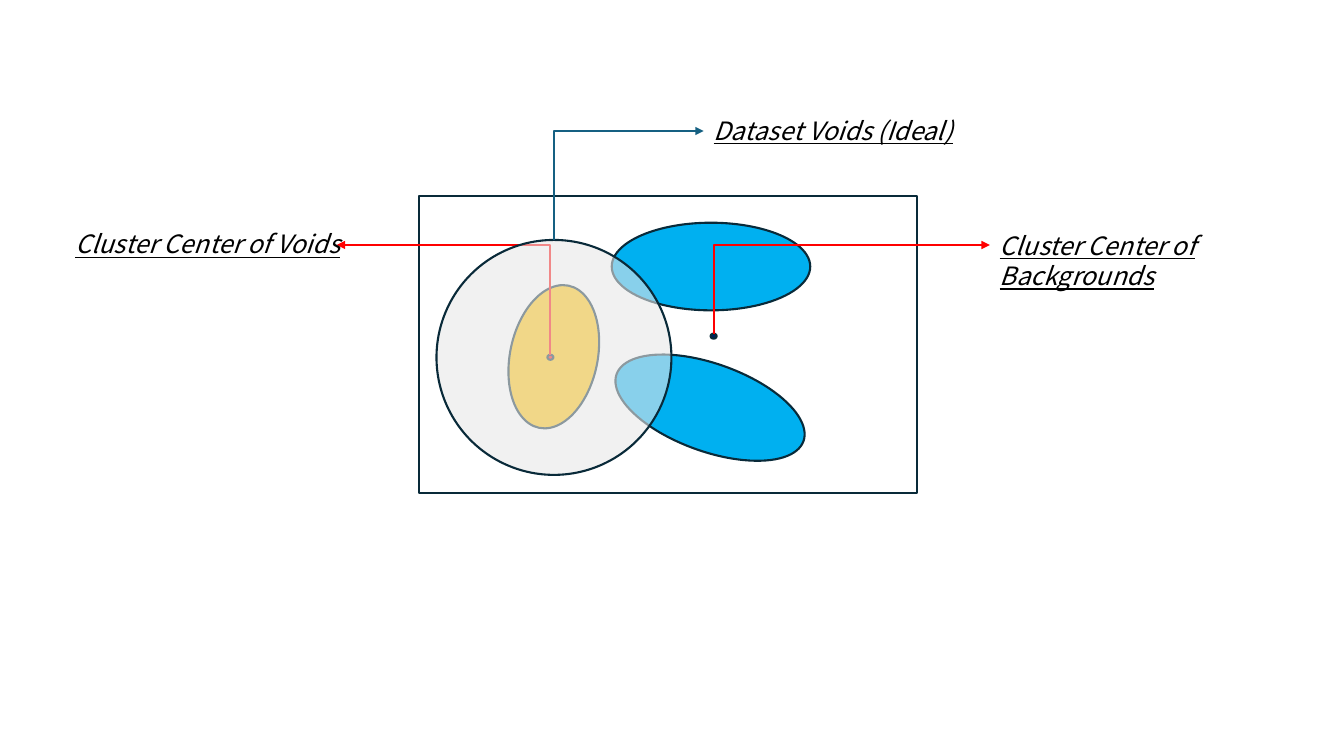
from dataclasses import dataclass

from lxml import etree
from pptx import Presentation
from pptx.dml.color import RGBColor
from pptx.enum.shapes import MSO_CONNECTOR, MSO_SHAPE
from pptx.oxml.ns import qn
from pptx.slide import Slide
from pptx.util import Pt

PROCESS = MSO_SHAPE.FLOWCHART_PROCESS
ROUND = MSO_SHAPE.FLOWCHART_CONNECTOR
ELBOW = MSO_CONNECTOR.ELBOW

FONT = "Noto Sans CJK SC"
OUTLINE, RED, TEAL, BLUE = "092A39", "FF0000", "156082", "00B0F0"
LINE_WIDTH = 1.5
BLANK_LAYOUT = 6


@dataclass
class Region:
    left: float
    top: float
    width: float
    height: float
    fill: str | None = None
    rotation: float = 0
    opacity: int = 100
    preset: MSO_SHAPE = ROUND


@dataclass
class Pointer:
    """An arrow that rises from its start, then turns sideways to its end."""
    start_x: float
    start_y: float
    end_x: float
    end_y: float
    color: str


@dataclass
class Label:
    text: str
    left: float
    top: float
    width: float


def rgb(color: str) -> RGBColor:
    return RGBColor.from_string(color)


def draw_region(page: Slide, region: Region) -> None:
    shape = page.shapes.add_shape(region.preset, Pt(region.left), Pt(region.top),
                                  Pt(region.width), Pt(region.height))
    shape.shadow.inherit = False
    shape.rotation = region.rotation
    shape.line.color.rgb = rgb(OUTLINE)
    shape.line.width = Pt(LINE_WIDTH)
    if region.fill is None:
        shape.fill.background()
        return
    shape.fill.solid()
    shape.fill.fore_color.rgb = rgb(region.fill)
    if region.opacity < 100:
        color = shape.fill._xPr.find(f"{qn('a:solidFill')}/{qn('a:srgbClr')}")
        etree.SubElement(color, qn("a:alpha"), val=str(region.opacity * 1000))


def draw_pointer(page: Slide, pointer: Pointer) -> None:
    # The one-bend preset runs across, then down; a 270 degree turn makes it rise first
    center_x = (pointer.start_x + pointer.end_x) / 2
    center_y = (pointer.start_y + pointer.end_y) / 2
    half_rise = (pointer.start_y - pointer.end_y) / 2
    half_run = (pointer.end_x - pointer.start_x) / 2
    arrow = page.shapes.add_connector(
        ELBOW, Pt(center_x - half_rise), Pt(center_y - half_run),
        Pt(center_x + half_rise), Pt(center_y + half_run))
    arrow.line.color.rgb = rgb(pointer.color)
    arrow.line.width = Pt(LINE_WIDTH)
    properties = arrow._element.spPr
    properties.find(qn("a:xfrm")).set("rot", str(270 * 60000))
    properties.find(qn("a:prstGeom")).set("prst", "bentConnector2")
    etree.SubElement(properties.find(qn("a:ln")), qn("a:tailEnd"), type="triangle")
    etree.SubElement(properties, qn("a:effectLst"))


def draw_label(page: Slide, label: Label) -> None:
    box = page.shapes.add_textbox(Pt(label.left), Pt(label.top), Pt(label.width), Pt(29))
    box.text_frame.word_wrap = True
    para = box.text_frame.paragraphs[0]
    para.text = label.text
    para.font.name = FONT
    para.font.size = Pt(18)
    para.font.italic = True
    para.font.underline = True
    para.font.color.rgb = rgb("000000")


# Parts from back to front
PARTS = [
    # Frame, clusters and their centers
    Region(299.5, 139.7, 355.7, 212.4, preset=PROCESS),
    Region(364.3, 203, 62.6, 103.7, "FFC000", rotation=11.7),
    Region(437, 159.1, 141.8, 62.6, BLUE),
    Region(436.3, 259.9, 141.8, 62.6, BLUE, rotation=19.7),
    Region(391, 253.4, 4.3, 3.6, RED),
    Region(507.6, 238.3, 4.3, 3.6, "002060"),
    # Labels of the cluster centers
    Pointer(393.1, 253.4, 240.5, 175, RED),
    Label("Cluster Center of Voids", 46.8, 159.8, 213.8),
    Pointer(509.8, 238.3, 707, 175, RED),
    Label("Cluster Center of Backgrounds", 707, 160.6, 253),
    # Ideal voids, a see-through circle over the clusters
    Region(311.8, 171.4, 167.8, 167.8, "E8E8E8", opacity=59),
    Pointer(395.7, 171.4, 502.6, 93.6, TEAL),
    Label("Dataset Voids (Ideal)", 502.6, 78.5, 255.6),
]
DRAWERS = {Region: draw_region, Pointer: draw_pointer, Label: draw_label}


def main() -> None:
    deck = Presentation()
    deck.slide_width, deck.slide_height = Pt(960), Pt(540)
    page = deck.slides.add_slide(deck.slide_layouts[BLANK_LAYOUT])
    for part in PARTS:
        DRAWERS[type(part)](page, part)
    deck.save("out.pptx")


if __name__ == "__main__":
    main()
